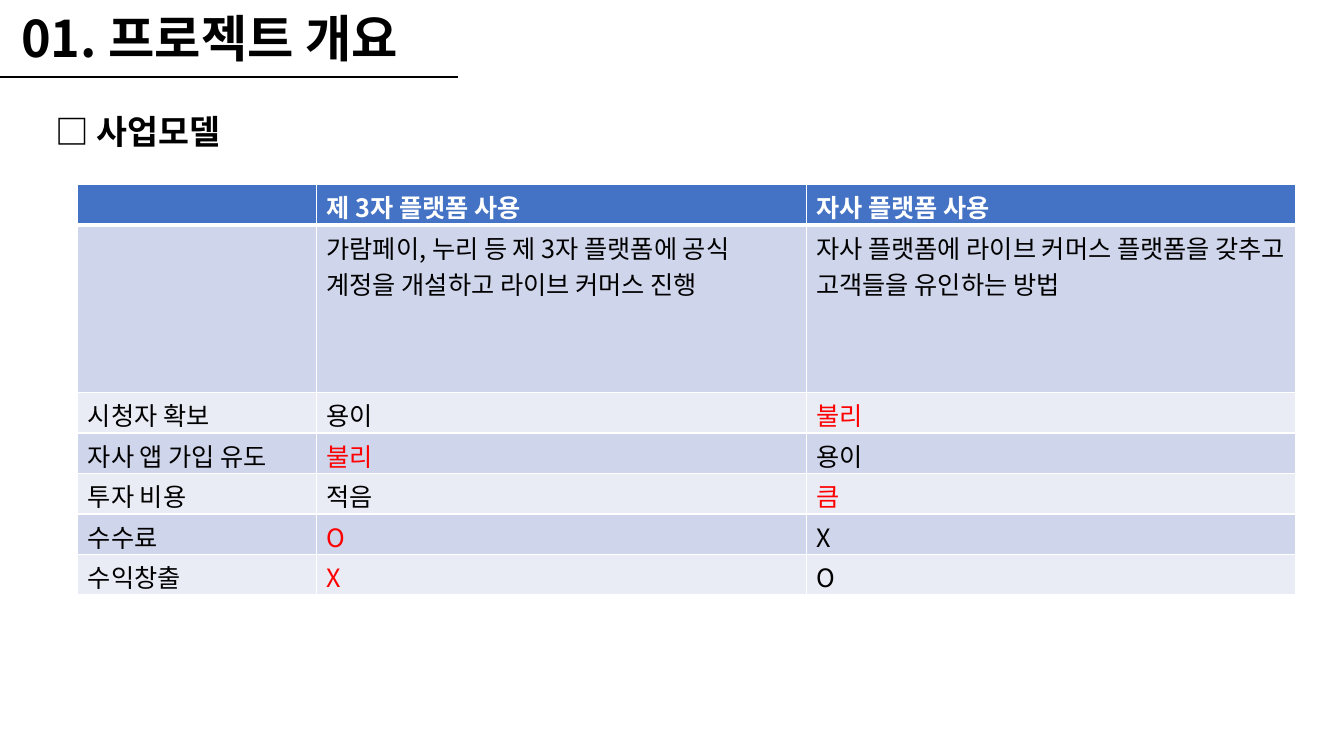
from dataclasses import dataclass
from lxml.etree import SubElement
from pptx import Presentation
from pptx.dml.color import RGBColor as Rgb
from pptx.enum.shapes import MSO_CONNECTOR as Connector
from pptx.enum.text import MSO_ANCHOR as Anchor, MSO_AUTO_SIZE as AutoSize, PP_ALIGN as Align
from pptx.oxml.ns import qn
from pptx.util import Cm, Pt


@dataclass(frozen=True)
class Theme:
    """Colours, font and type sizes of the slide."""
    font: str = "Noto Sans CJK KR"
    ink: str = "000000"
    paper: str = "FFFFFF"
    drawback: str = "FF0000"
    header: str = "4472C4"
    bands: tuple = ("CFD5EA", "E9EBF5")
    title_size: int = 36
    section_size: int = 24
    table_size: int = 18


THEME = Theme()
COMPARISON = [
    ("", "제 3자 플랫폼 사용", "자사 플랫폼 사용"),
    ("", "가람페이, 누리 등 제 3자 플랫폼에 공식 계정을 개설하고 라이브 커머스 진행",
     "자사 플랫폼에 라이브 커머스 플랫폼을 갖추고 고객들을 유인하는 방법"),
    ("시청자 확보", "용이", "불리"),
    ("자사 앱 가입 유도", "불리", "용이"),
    ("투자 비용", "적음", "큼"),
    ("수수료", "O", "X"),
    ("수익창출", "X", "O"),
]
DRAWBACKS = {(2, 2), (3, 1), (4, 2), (5, 1), (6, 1)}
COLUMN_SHARES = (0.196, 0.402, 0.402)
ROW_HEIGHT = 1.02


def apply(target, values):
    """Set each attribute of target from a dict of format values."""
    for name, value in values.items():
        setattr(target, name, value)


def write(frame, text, size, color, bold=False):
    """Write one left-aligned run in the theme font."""
    paragraph = frame.paragraphs[0]
    apply(paragraph, {"alignment": Align.LEFT, "space_before": Pt(0)})
    run = paragraph.add_run()
    run.text = text
    run.font.color.rgb = Rgb.from_string(color)
    apply(run.font, {"size": Pt(size), "bold": bold, "name": THEME.font})
    SubElement(run.font._element, qn("a:ea"), typeface=THEME.font)
    return paragraph


def place_heading(heading, box, text, size):
    """Move a placeholder to its box and write its bold heading."""
    apply(heading, dict(zip(("left", "top", "width", "height"), map(Cm, box))))
    apply(heading.text_frame, {"word_wrap": True, "auto_size": AutoSize.NONE,
                               "vertical_anchor": Anchor.MIDDLE})
    return write(heading.text_frame, text, size, THEME.ink, bold=True)


def add_title(slide, box):
    """Place the slide title above a rule that starts at the slide edge."""
    left, top, width, height = box
    place_heading(slide.shapes.title, box, "01. 프로젝트 개요", THEME.title_size)
    rule_y = Cm(top + height + 0.08)
    rule = slide.shapes.add_connector(Connector.STRAIGHT, 0, rule_y,
                                      Cm(left + width + 0.6), rule_y)
    rule.line.color.rgb = Rgb.from_string(THEME.ink)
    rule.line.width = Pt(1.5)
    SubElement(rule._element.spPr, qn("a:effectLst"))


def add_section(slide, box):
    """Place the section heading without a list bullet."""
    heading = place_heading(slide.placeholders[1], box, "□ 사업모델", THEME.section_size)
    properties = heading._element.get_or_add_pPr()
    for name in ("marL", "indent"):
        properties.set(name, "0")
    SubElement(properties, qn("a:buNone"))


def draw_borders(cell, row):
    """Draw white cell borders, heavier between header and body."""
    heavy_side = {0: "B", 1: "T"}.get(row)
    for side in "LRTB":
        width = Pt(3 if side == heavy_side else 1)
        border = SubElement(cell._tc.get_or_add_tcPr(), qn(f"a:ln{side}"), w=str(width))
        fill = SubElement(border, qn("a:solidFill"))
        SubElement(fill, qn("a:srgbClr"), val=THEME.paper)


def format_cell(cell, row, column, text):
    """Fill, frame and write one cell of the comparison."""
    is_header = row == 0
    draw_borders(cell, row)
    cell.fill.solid()
    cell.fill.fore_color.rgb = Rgb.from_string(
        THEME.header if is_header else THEME.bands[(row - 1) % 2])
    apply(cell, {"margin_top": Cm(0.1), "margin_bottom": 0, "vertical_anchor": Anchor.TOP})
    color = THEME.paper if is_header else THEME.ink
    if (row, column) in DRAWBACKS:
        color = THEME.drawback
    if text:
        write(cell.text_frame, text, THEME.table_size, color, bold=is_header)


def add_comparison(slide, box):
    """Place the platform comparison, its description row taking the spare height."""
    left, top, width, height = box
    table = slide.shapes.add_table(len(COMPARISON), len(COLUMN_SHARES),
                                   *map(Cm, box)).table
    for column, share in zip(table.columns, COLUMN_SHARES):
        column.width = Cm(width * share)
    for row in table.rows:
        row.height = Cm(ROW_HEIGHT)
    table.rows[1].height = Cm(height - ROW_HEIGHT * (len(COMPARISON) - 1))
    for row, texts in enumerate(COMPARISON):
        for column, text in enumerate(texts):
            format_cell(table.cell(row, column), row, column, text)


def build_business_model(presentation):
    """Build the business model slide."""
    slide = presentation.slides.add_slide(presentation.slide_layouts[1])
    add_title(slide, (0.28, 0.05, 10.65, 1.8))
    add_section(slide, (1.14, 2.67, 5.08, 1.27))
    add_comparison(slide, (1.96, 4.65, 30.7, 10.34))


presentation = Presentation()
apply(presentation, {"slide_width": Cm(33.87), "slide_height": Cm(19.05)})
build_business_model(presentation)
presentation.save("out.pptx")
